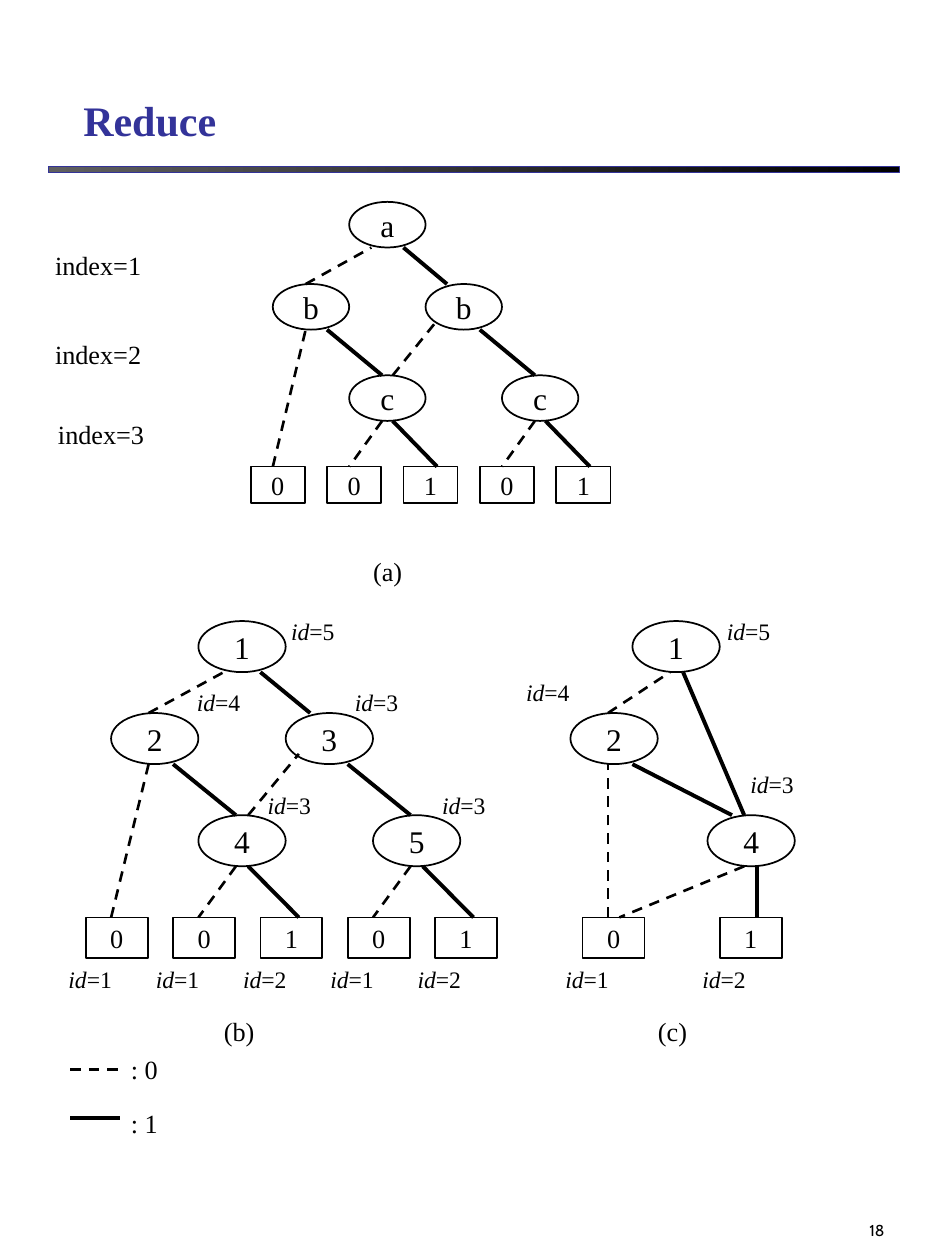
from dataclasses import dataclass

from lxml.etree import SubElement
from pptx import Presentation
from pptx.dml.color import RGBColor as RGB
from pptx.enum.dml import MSO_LINE_DASH_STYLE as Dash
from pptx.enum.shapes import MSO_CONNECTOR as Connector, MSO_SHAPE as Shape
from pptx.enum.text import MSO_ANCHOR as Anchor, PP_ALIGN as Align
from pptx.oxml.ns import qn
from pptx.util import Cm, Pt


@dataclass(frozen=True)
class Theme:
    ink: RGB = RGB(0, 0, 0)
    accent: RGB = RGB(0x33, 0x33, 0x99)
    bar_start: RGB = RGB(0x5F, 0x5F, 0x5F)
    serif: str = "Times New Roman"
    sans: str = "Cabin"
    title: float = 24
    node: float = 18
    body: float = 15
    ident: float = 13.5
    page: float = 9
    outline: float = 1
    zero_edge: float = 1.5
    one_edge: float = 2.25


T = Theme()

# Diagram positions are in units of one node width (x) and one node height (y).
ROWS = (0, 1.8, 3.8, 5.8)
LEAF_SHIFT, LEAF_W, LEAF_H = -0.29, 0.71, 0.8
ID_SHIFT, ID_ROW = -0.63, 6.6
CAPTION_SHIFT, CAPTION_ROW = 0.15, 7.6

# Nodes as (column, row), leaves as (column, value), edges as (x1, y1, x2, y2)
FULL_NODES = [(1, 0), (0, 1), (2, 1), (1, 2), (3, 2)]
FULL_LEAVES = [(0, "0"), (1, "0"), (2, "1"), (3, "0"), (4, "1")]
FULL_ZERO = [(0.43, 1.8, 1.29, 1), (0, 5.8, 0.43, 2.8), (1.43, 4.8, 1, 5.8),
             (3.43, 4.8, 3, 5.8), (1.57, 3.8, 2.15, 2.6)]
FULL_ONE = [(1.71, 1, 2.28, 1.8), (0.71, 2.8, 1.43, 3.8), (2.71, 2.8, 3.43, 3.8),
            (1.57, 4.8, 2.15, 5.8), (3.57, 4.8, 4.15, 5.8)]
FULL_TREE = dict(nodes=FULL_NODES, leaves=FULL_LEAVES, zero=FULL_ZERO, one=FULL_ONE)

REDUCED_TREE = dict(
    nodes=[(0.71, 0), (0, 1), (1.57, 2)],
    leaves=[(0.43, "0"), (2, "1")],
    zero=[(0.43, 1.8, 1.14, 1), (0.43, 5.8, 0.43, 2.8), (1.99, 4.8, 0.56, 5.8)],
    one=[(2.14, 4.8, 2.14, 5.8), (0.71, 2.8, 1.85, 3.8), (1.29, 1, 1.99, 3.8)],
)

# origin and unit in cm; ids as (x, y, number); leaf ids follow the leaves
DIAGRAMS = [
    dict(tree=FULL_TREE, origin=(5.5, 4.07), unit=(1.54, 0.92), names="abbcc",
         caption="(a)", ids=[], leaf_ids=""),
    dict(tree=FULL_TREE, origin=(2.24, 12.52), unit=(1.76, 1.03), names="12345",
         caption="(b)", leaf_ids="11212",
         ids=[(1.92, -0.2, 5), (0.84, 1.19, 4), (2.65, 1.19, 3),
              (1.65, 3.2, 3), (3.65, 3.2, 3)]),
    dict(tree=REDUCED_TREE, origin=(11.5, 12.52), unit=(1.76, 1.03), names="124",
         caption="(c)", leaf_ids="12",
         ids=[(1.65, -0.2, 5), (-0.65, 1, 4), (1.92, 2.79, 3)]),
]

INDEX_LABELS = [("index=1", 0.86, 4.9), ("index=2", 0.86, 6.7), ("index=3", 0.92, 8.3)]
LEGEND = [(": 0", 21.56, 21.11, False), (": 1", 22.53, 22.2, True)]  # line y, text y


def style(p, size, color=T.ink, font=T.serif, bold=False):
    f = p.font
    f.name, f.size, f.bold = font, Pt(size), bold
    f.color.rgb = color


def add_text(text, x, y, w=2.2, h=0.89, size=T.body, anchor=Anchor.TOP,
             align=Align.LEFT, **font):
    tf = shapes.add_textbox(Cm(x), Cm(y), Cm(w), Cm(h)).text_frame
    tf.word_wrap, tf.vertical_anchor = True, anchor
    p = tf.paragraphs[0]
    p.text, p.alignment = text, align
    style(p, size, **font)
    return p


def add_id(number, x, y):
    p = add_text("id", x, y, size=T.ident)
    p.runs[0].font.italic = True
    p.add_run().text = f"={number}"


def add_cell(kind, text, x, y, w, h, size):
    sp = shapes.add_shape(kind, Cm(x), Cm(y), Cm(w), Cm(h))
    sp.shadow.inherit = False
    sp.fill.background()
    sp.line.color.rgb, sp.line.width = T.ink, Pt(T.outline)
    tf = sp.text_frame
    tf.word_wrap, tf.vertical_anchor = False, Anchor.MIDDLE
    p = tf.paragraphs[0]
    p.text, p.alignment = text, Align.CENTER
    style(p, size)


def add_edge(x1, y1, x2, y2, one):
    """Draw a heavy line for a 1 branch, a dashed one for a 0 branch."""
    c = shapes.add_connector(Connector.STRAIGHT, Cm(x1), Cm(y1), Cm(x2), Cm(y2))
    SubElement(c._element.spPr, qn("a:effectLst"))
    c.line.color.rgb = T.ink
    c.line.width = Pt(T.one_edge if one else T.zero_edge)
    if not one:
        c.line.dash_style = Dash.DASH


def add_diagram(tree, origin, unit, names, caption, ids, leaf_ids):
    (x0, y0), (u, v) = origin, unit

    def at(x, y):
        return x0 + x * u, y0 + y * v

    for (col, row), name in zip(tree["nodes"], names):
        add_cell(Shape.OVAL, name, *at(col, ROWS[row]), u, v, T.node)
    for col, value in tree["leaves"]:
        add_cell(Shape.RECTANGLE, value, *at(col + LEAF_SHIFT, ROWS[-1]),
                 LEAF_W * u, LEAF_H * v, T.body)
    for one, edges in enumerate((tree["zero"], tree["one"])):
        for x1, y1, x2, y2 in edges:
            add_edge(*at(x1, y1), *at(x2, y2), one)
    for (col, _), number in zip(tree["leaves"], leaf_ids):
        add_id(number, *at(col + ID_SHIFT, ID_ROW))
    for x, y, number in ids:
        add_id(number, *at(x, y))
    root_col = tree["nodes"][0][0]
    add_text(caption, *at(root_col + CAPTION_SHIFT, CAPTION_ROW), w=1.8)


prs = Presentation()
prs.slide_width, prs.slide_height = Cm(19.05), Cm(25.4)
shapes = prs.slides.add_slide(prs.slide_layouts[6]).shapes

bar = shapes.add_shape(Shape.RECTANGLE, Cm(0.97), Cm(3.36), Cm(17.15), Cm(0.12))
bar.shadow.inherit = False
bar.fill.gradient()
bar.fill.gradient_angle = 0
for stop, color in zip(bar.fill.gradient_stops, (T.bar_start, T.ink)):
    stop.color.rgb = color
bar.line.color.rgb, bar.line.width = T.accent, Pt(0.25)

add_text("Reduce", 1.43, 1.3, 16.2, 1.75, T.title, Anchor.BOTTOM,
         color=T.accent, bold=True)
add_text("18", 14.12, 23.42, 3.96, 1.7, T.page, Anchor.BOTTOM, Align.RIGHT, font=T.sans)

for text, x, y in INDEX_LABELS:
    add_text(text, x, y, w=2.4)
for text, line_y, text_y, one in LEGEND:
    add_edge(1.42, line_y, 2.42, line_y, one)
    add_text(text, 2.39, text_y, w=1.2)
for diagram in DIAGRAMS:
    add_diagram(**diagram)

prs.save("out.pptx")
